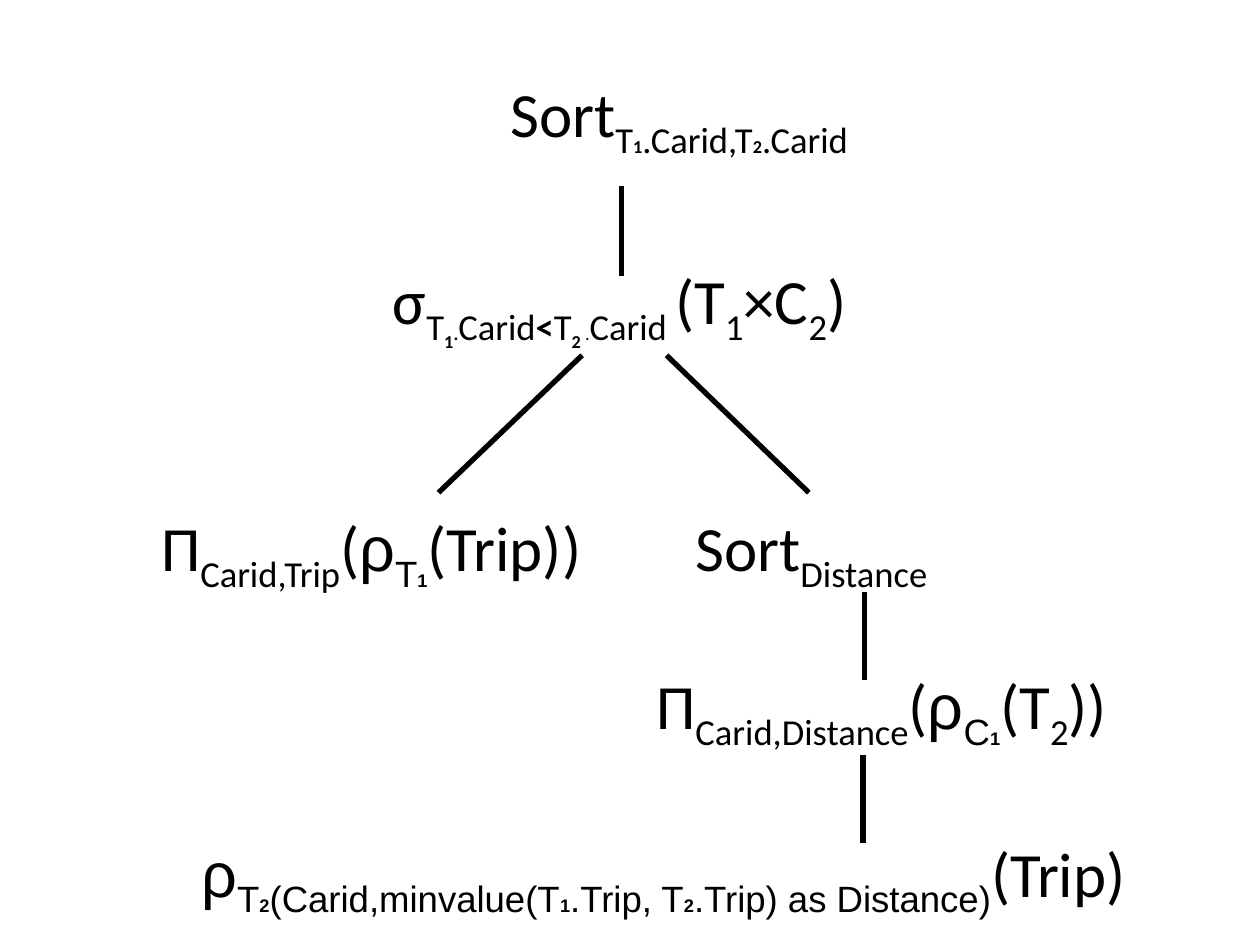
"""Build a slide with a relational algebra query tree."""
from lxml.etree import SubElement
from pptx import Presentation
from pptx.dml.color import RGBColor
from pptx.enum.shapes import MSO_CONNECTOR
from pptx.oxml.ns import qn
from pptx.util import Inches, Pt

COLORS = {"ink": "000000"}
INK = RGBColor.from_string(COLORS["ink"])

STYLES = {
    "main": ("Calibri", 36, 0, False),
    "sub": ("Calibri", 36, -25, False),
    "less": ("Calibri", 36, -25, True),
    "low": ("Calibri", 18, -75, True),
    "dot": ("Calibri", 18, -50, False),
    "bold dot": ("Calibri", 18, -50, True),
    "rho": ("Arial", 36, 0, False),
    "rho sub": ("Arial", 36, -25, False),
    "rho low": ("Arial", 18, -50, True),
}

NODES = [
    (3.95, 0.54, 5.11, [
        ("Sort", "main"), ("T", "sub"), ("1", "bold dot"),
        (".Carid,T", "sub"), ("2", "bold dot"), (".Carid", "sub")]),
    (3.02, 2.03, 5.11, [
        ("σ", "main"), ("T", "sub"), ("1", "low"), (".", "bold dot"),
        ("Carid", "sub"), ("<", "less"), ("T", "sub"), ("2 ", "low"),
        (".", "dot"), ("Carid ", "sub"), ("(T", "main"), ("1", "sub"),
        ("×C", "main"), ("2", "sub"), (")", "main")]),
    (1.18, 3.99, 3.92, [
        ("Π", "main"), ("Carid,Trip", "sub"), ("(", "main"), ("ρ", "rho"),
        ("T", "rho sub"), ("1", "rho low"), ("(Trip))", "main")]),
    (5.42, 3.99, 4.24, [("Sort", "main"), ("Distance", "sub")]),
    (5.11, 5.24, 4.42, [
        ("Π", "main"), ("Carid,Distance", "sub"), ("(", "main"),
        ("ρ", "rho"), ("C", "rho sub"), ("1", "rho low"), ("(T", "main"),
        ("2", "sub"), ("))", "main")]),
    (1.5, 6.57, 8.44, [
        ("ρ", "rho"), ("T", "rho sub"), ("2", "rho low"),
        ("(Carid,minvalue(T", "rho sub"), ("1", "rho low"),
        (".Trip, T", "rho sub"), ("2", "rho low"),
        (".Trip) as Distance)", "rho sub"), ("(Trip)", "main")]),
]

EDGES = [
    (4.93, 1.48, 4.93, 2.19),
    (4.62, 2.82, 3.48, 3.91),
    (5.29, 2.82, 6.42, 3.91),
    (6.86, 4.7, 6.86, 5.4),
    (6.85, 5.99, 6.85, 6.69),
]

deck = Presentation()
deck.slide_width, deck.slide_height = Inches(10), Inches(7.5)
slide = deck.slides.add_slide(deck.slide_layouts[6])

for left, top, width, parts in NODES:
    box = slide.shapes.add_textbox(
        Inches(left), Inches(top), Inches(width), Inches(0.71))
    box.text_frame.word_wrap = True
    line = box.text_frame.paragraphs[0]
    for text, style in parts:
        face, size, base, bold = STYLES[style]
        run = line.add_run()
        run.text = text
        run.font.name = face
        run.font.size = Pt(size)
        run.font.bold = bold
        run.font.color.rgb = INK
        if base:
            run._r.get_or_add_rPr().set("baseline", str(base * 1000))

for ends in EDGES:
    edge = slide.shapes.add_connector(
        MSO_CONNECTOR.STRAIGHT, *[Inches(end) for end in ends])
    edge.line.color.rgb = INK
    edge.line.width = Pt(3)
    SubElement(edge._element.spPr, qn("a:effectLst"))

deck.save("out.pptx")
